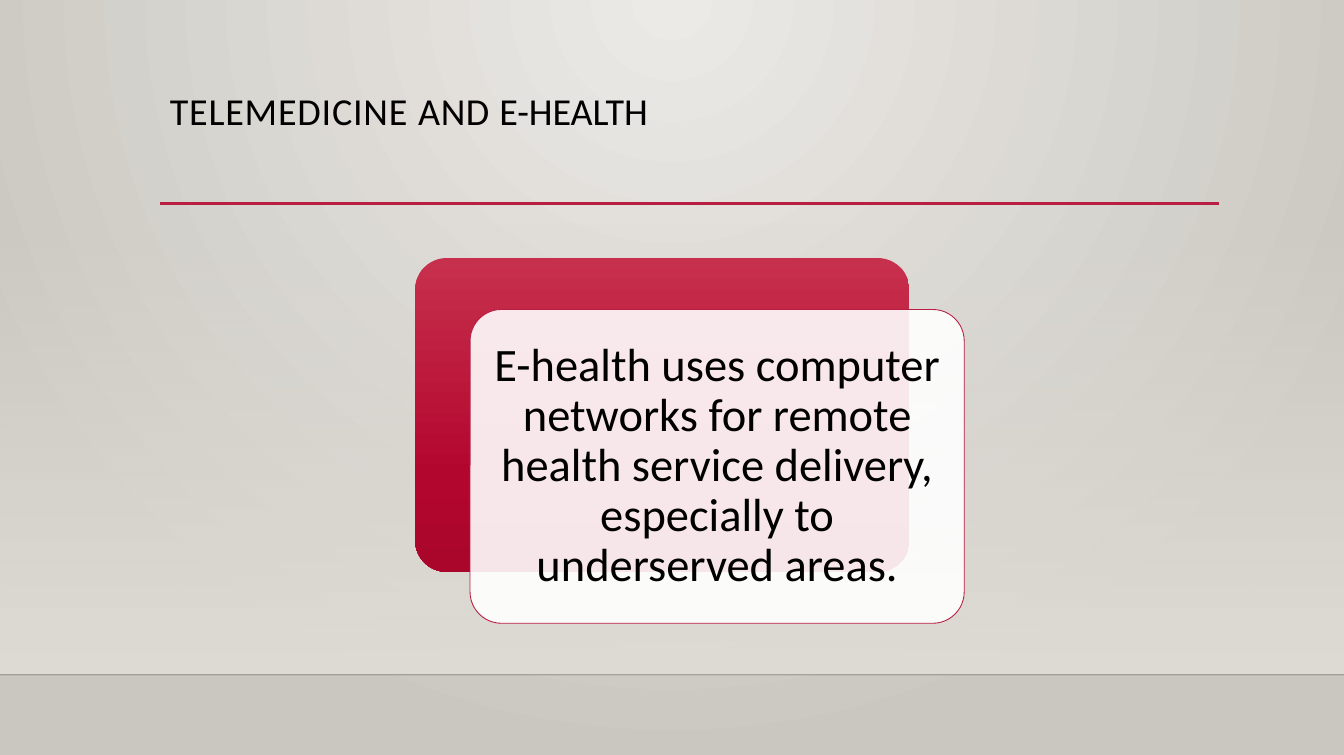
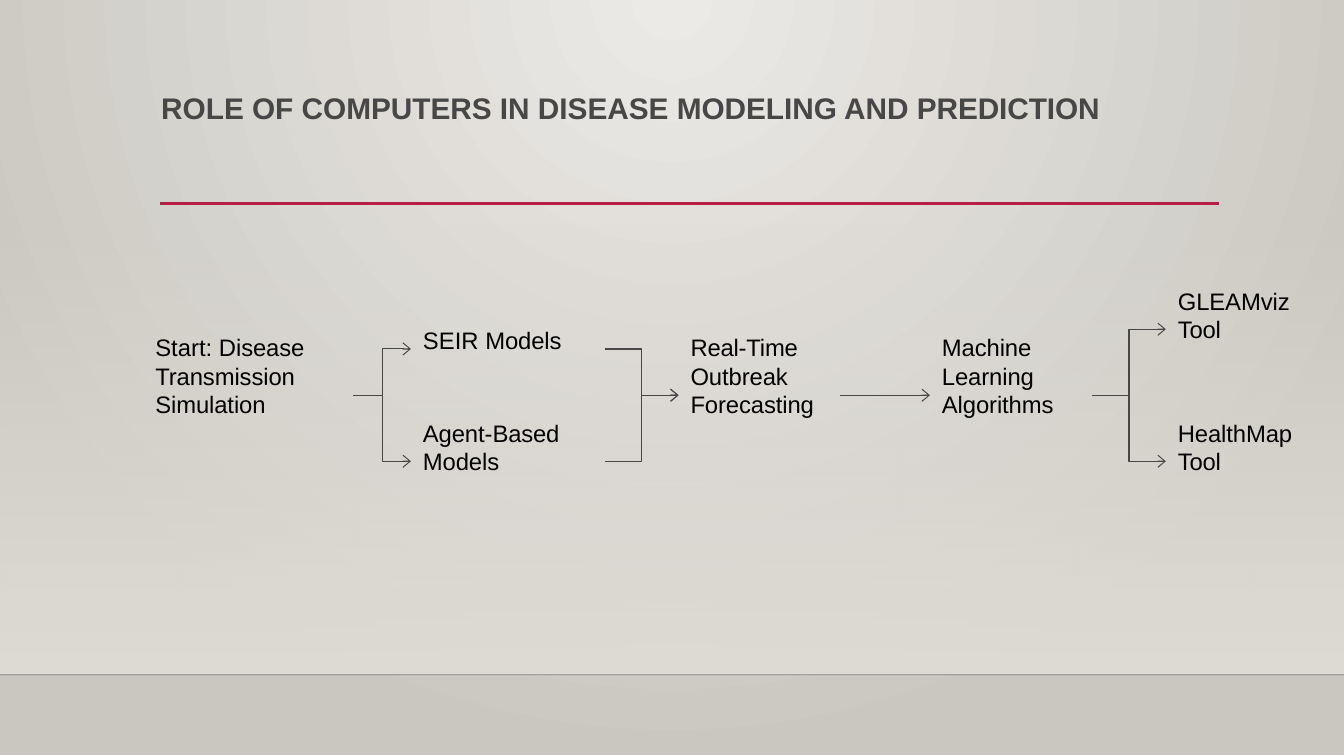
from dataclasses import dataclass

from pptx import Presentation
from pptx.dml.color import RGBColor
from pptx.enum.shapes import MSO_CONNECTOR, MSO_SHAPE
from pptx.enum.text import MSO_ANCHOR, PP_ALIGN
from pptx.oxml import parse_xml
from pptx.oxml.ns import nsdecls, qn
from pptx.util import Inches, Pt


@dataclass(frozen=True)
class Theme:
    width: float = 1128 / 72
    height: float = 634 / 72
    margin: float = 1.87
    content_width: float = 12.34
    floor: float = 7.87
    accent: str = "B71E42"
    ink: str = "000000"
    gray: str = "474747"
    white: str = "FFFFFF"
    edge: str = "000001"
    backdrop: tuple = ((0, "ECEAE7", 100), (100, "CAC7C1", 100))
    wall: tuple = ((0, "DFDBD5", 0), (100, "DFDBD5", 100))
    card: tuple = ((0, "C7304C", 100), (69, "B3062F", 100), (100, "AA062C", 100))
    radial: str = ('<a:path path="circle">'
                   '<a:fillToRect l="43000" t="0" r="43000" b="100000"/></a:path>')
    downward: str = '<a:lin ang="5400000" scaled="0"/>'


THEME = Theme()

# Content: each text is a list of (wording, letter spacing in points)
TELEMEDICINE_TITLE = [("TELEMEDICINE ", 0.65), ("AND ", 0.5), ("E-HEALTH", -0.15)]
TELEMEDICINE_BODY = [("E-health uses computer networks for remote health service "
                      "delivery, especially to underserved areas.", 0)]
MODELING_TITLE = [("ROLE OF COMPUTERS IN DISEASE MODELING AND ", 0),
                  ("PREDICTION", -0.05)]

# Flow chart: column left edges, and where the arrows leave each column
COLUMN_LEFT = [1.79, 4.91, 8.03, 10.96, 13.71]
COLUMN_EXIT = [4.12, 7.05, 9.79, 12.73]
ARROW_GAP = 0.12
MIDDLE, LOWER, UPPER_MODEL, UPPER_TOOL = 4.61, 5.38, 4.07, 3.84

# Steps: column, top, width, height, text
STEPS = [
    (0, 3.86, 1.99, 1.42, [("Start: ", 0), ("Disease Transmission Simulation", -0.1)]),
    (1, 3.78, 1.85, 0.5, [("SEIR ", 0), ("Models", -0.1)]),
    (1, 4.86, 1.84, 0.96, [("Agent-", -0.1), ("Based ", -0.2), ("Models", -0.1)]),
    (2, 3.86, 1.66, 1.42, [("Real-Time ", -0.2), ("Outbreak Forecasting", -0.1)]),
    (3, 3.86, 1.51, 1.42, [("Machine Learning Algorithms", -0.1)]),
    (4, 3.32, 1.51, 0.96, [("GLEAMviz ", -0.1), ("Tool", -0.2)]),
    (4, 4.86, 1.54, 0.96, [("HealthMap ", -0.1), ("Tool", -0.2)]),
]
# Arrows: column left behind, height at the tail, height at the head
ARROWS = [
    (0, MIDDLE, UPPER_MODEL), (0, MIDDLE, LOWER),
    (1, UPPER_MODEL, MIDDLE), (1, LOWER, MIDDLE),
    (2, MIDDLE, MIDDLE),
    (3, MIDDLE, UPPER_TOOL), (3, MIDDLE, LOWER),
]


def color(value):
    return RGBColor.from_string(value)


def set_alpha(holder, percent):
    for fill_color in holder.iter(qn("a:srgbClr")):
        fill_color.append(parse_xml(
            f'<a:alpha {nsdecls("a")} val="{percent * 1000}"/>'))


def set_gradient(fill, element, stops, direction):
    fill.gradient()
    gradient = element.find(".//" + qn("a:gradFill"))
    stop_xml = "".join(
        f'<a:gs pos="{position * 1000}"><a:srgbClr val="{value}">'
        f'<a:alpha val="{alpha * 1000}"/></a:srgbClr></a:gs>'
        for position, value, alpha in stops)
    gradient.getparent().replace(gradient, parse_xml(
        f'<a:gradFill {nsdecls("a")} rotWithShape="1">'
        f'<a:gsLst>{stop_xml}</a:gsLst>{direction}</a:gradFill>'))


def add_panel(slide, kind, left, top, width, height):
    shape = slide.shapes.add_shape(
        kind, Inches(left), Inches(top), Inches(width), Inches(height))
    shape.shadow.inherit = False
    shape.line.fill.background()
    return shape


def add_line(slide, start, end, value, weight):
    kind = MSO_CONNECTOR.STRAIGHT
    if start[0] != end[0] and start[1] != end[1]:
        kind = MSO_CONNECTOR.ELBOW
    line = slide.shapes.add_connector(
        kind, *(Inches(number) for number in (*start, *end)))
    line.line.color.rgb = color(value)
    line.line.width = Pt(weight)
    line.element.spPr.append(parse_xml(f'<a:effectLst {nsdecls("a")}/>'))
    return line


def add_text(slide, left, top, width, height, runs, size, font="Arial",
             value=THEME.ink, bold=False, insets=(0.01, 0.02, 0, 0), spacing=1.0,
             anchor=MSO_ANCHOR.TOP, align=PP_ALIGN.LEFT):
    box = slide.shapes.add_textbox(
        Inches(left), Inches(top), Inches(width), Inches(height))
    frame = box.text_frame
    frame.word_wrap = True
    frame.vertical_anchor = anchor
    (frame.margin_left, frame.margin_top,
     frame.margin_right, frame.margin_bottom) = map(Inches, insets)
    paragraph = frame.paragraphs[0]
    paragraph.alignment = align
    paragraph.line_spacing = spacing
    for wording, letter_spacing in runs:
        run = paragraph.add_run()
        run.text = wording
        run.font.name = font
        run.font.size = Pt(size)
        run.font.bold = bold
        run.font.color.rgb = color(value)
        if letter_spacing:
            run.font._element.set("spc", str(round(letter_spacing * 100)))


def add_base_slide(presentation, title, **title_style):
    slide = presentation.slides.add_slide(presentation.slide_layouts[6])
    set_gradient(slide.background.fill, slide.element, THEME.backdrop, THEME.radial)

    # Wall, floor edge and title rule
    wall = add_panel(slide, MSO_SHAPE.RECTANGLE, 0, 2.59, THEME.width, 5.27)
    set_gradient(wall.fill, wall.element, THEME.wall, THEME.downward)
    edge = add_line(slide, (0, THEME.floor), (THEME.width, THEME.floor), THEME.edge, 1)
    set_alpha(edge.element, 20)
    add_line(slide, (THEME.margin, 2.37),
             (THEME.margin + THEME.content_width, 2.37), THEME.accent, 2.5)

    add_text(slide, THEME.margin, 1.03, THEME.content_width, 1.35, title, **title_style)
    return slide


def build_telemedicine(presentation):
    slide = add_base_slide(presentation, TELEMEDICINE_TITLE, size=32, font="Calibri",
                           insets=(0.11, 0.05, 0.1, 0.05), spacing=0.9)

    # Two overlapping cards
    left, top, width, height = 4.84, 3.01, 5.76, 3.66
    shift_x, shift_y, padding = 0.64, 0.6, 0.11
    back, front = (
        add_panel(slide, MSO_SHAPE.ROUNDED_RECTANGLE,
                  left + step * shift_x, top + step * shift_y, width, height)
        for step in range(2))
    for card in (back, front):
        card.adjustments[0] = 0.1
    set_gradient(back.fill, back.element, THEME.card, THEME.downward)
    front.fill.solid()
    front.fill.fore_color.rgb = color(THEME.white)
    set_alpha(front.element.spPr, 90)
    front.line.color.rgb = color(THEME.accent)
    front.line.width = Pt(0.75)

    add_text(slide, left + shift_x + padding, top + shift_y + padding,
             width - 2 * padding, height - 2 * padding, TELEMEDICINE_BODY,
             size=39, font="Calibri", insets=(0.16,) * 4, spacing=0.9,
             anchor=MSO_ANCHOR.MIDDLE, align=PP_ALIGN.CENTER)


def build_modeling(presentation):
    slide = add_base_slide(presentation, MODELING_TITLE, size=25,
                           value=THEME.gray, bold=True)

    # Steps
    for column, top, width, height, runs in STEPS:
        add_text(slide, COLUMN_LEFT[column], top, width, height, runs,
                 size=20, insets=(0.02, 0.02, 0, 0))

    # Arrows
    for column, tail_y, head_y in ARROWS:
        arrow = add_line(slide, (COLUMN_EXIT[column], tail_y),
                         (COLUMN_LEFT[column + 1] - ARROW_GAP, head_y), THEME.gray, 1)
        arrow.line._get_or_add_ln().append(parse_xml(
            f'<a:tailEnd {nsdecls("a")} type="arrow" w="lg" len="med"/>'))


def main():
    presentation = Presentation()
    presentation.slide_width = Inches(THEME.width)
    presentation.slide_height = Inches(THEME.height)
    build_telemedicine(presentation)
    build_modeling(presentation)
    presentation.save("out.pptx")


if __name__ == "__main__":
    main()
